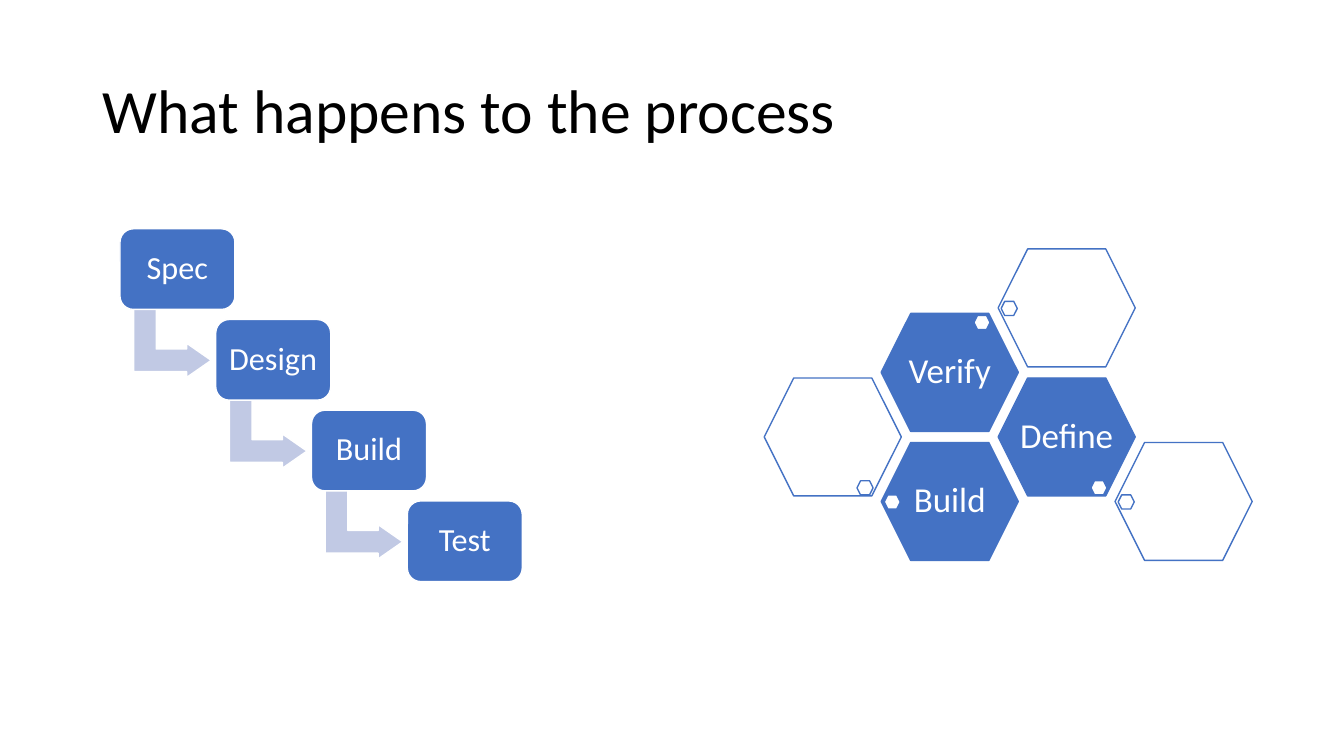
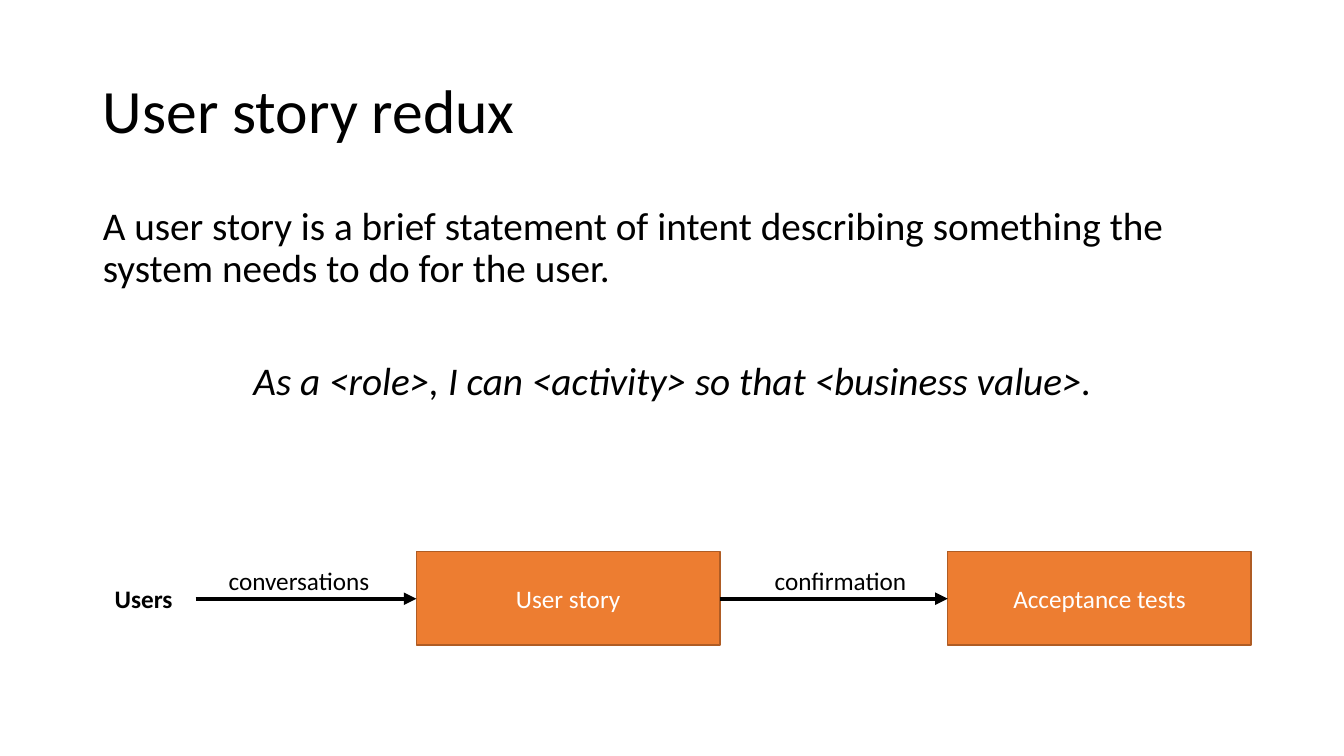
from pptx import Presentation
from pptx.dml.color import RGBColor
from pptx.enum.shapes import MSO_CONNECTOR, MSO_SHAPE
from pptx.enum.text import MSO_ANCHOR, MSO_AUTO_SIZE, PP_ALIGN
from pptx.oxml.ns import qn
from pptx.util import Inches, Pt
from lxml.etree import SubElement

# Shared style
FONT = "Calibri"
BLACK = RGBColor(0x00, 0x00, 0x00)
WHITE = RGBColor(0xFF, 0xFF, 0xFF)
BLUE = RGBColor(0x44, 0x72, 0xC4)
PALE = RGBColor(0xC1, 0xC9, 0xE4)
ORANGE = RGBColor(0xED, 0x7D, 0x31)
BROWN = RGBColor(0xAF, 0x5C, 0x24)
LEFT, WIDE = 0.92, 11.5

# Waterfall: first box, box size and step
STEPS = ["Spec", "Design", "Build", "Test"]
# Honeycomb: column, half row, label, dot position
SIDE, LOW, TOP = (0.03, 0.52), (0.92, 1.02), (0.92, 0.02)
CELLS = [
    (1, 3, "Build", SIDE),
    (0, 2, "", LOW),
    (2, 2, "Define", LOW),
    (3, 3, "", SIDE),
    (1, 1, "Verify", TOP),
    (2, 0, "", SIDE),
]


def write(par, text, size, color=BLACK, align=PP_ALIGN.CENTER, space=1.0,
          bold=False, italic=False):
    par.alignment = align
    par.line_spacing = space
    run = par.add_run()
    run.text = text
    font = run.font
    font.name, font.size = FONT, Pt(size)
    font.bold, font.italic = bold, italic
    font.color.rgb = color


def place(item, left, top, width, height):
    item.left, item.top = Inches(left), Inches(top)
    item.width, item.height = Inches(width), Inches(height)


def add_slide(deck, layout, title):
    slide = deck.slides.add_slide(deck.slide_layouts[layout])
    head = slide.shapes.title
    place(head, LEFT, 0.4, WIDE, 1.45)
    frame = head.text_frame
    frame.auto_size = MSO_AUTO_SIZE.NONE
    frame.vertical_anchor = MSO_ANCHOR.MIDDLE
    write(frame.paragraphs[0], title, 44, align=PP_ALIGN.LEFT, space=0.9)
    return slide


def add_form(slide, kind, box, fill, edge, text="", size=18, space=0.9):
    form = slide.shapes.add_shape(kind, *map(Inches, box))
    form.shadow.inherit = False
    form.fill.solid()
    form.fill.fore_color.rgb = fill
    form.line.color.rgb = edge
    form.line.width = Pt(1)
    if text:
        frame = form.text_frame
        frame.word_wrap = False
        frame.vertical_anchor = MSO_ANCHOR.MIDDLE
        write(frame.paragraphs[0], text, size, WHITE, space=space)
    return form


def add_label(slide, text, left, top, width, bold=False):
    box = slide.shapes.add_textbox(*map(Inches, (left, top, width, 0.4)))
    box.text_frame.word_wrap = True
    write(box.text_frame.paragraphs[0], text, 18, bold=bold)


def add_arrow(slide, start, end, level):
    line = slide.shapes.add_connector(
        MSO_CONNECTOR.STRAIGHT, *map(Inches, (start, level, end, level)))
    line.line.color.rgb = BLACK
    line.line.width = Pt(3)
    props = line._element.spPr
    SubElement(props.find(qn("a:ln")), qn("a:tailEnd"), type="triangle")
    SubElement(props, qn("a:effectLst"))


def add_body(slide, items):
    body = slide.placeholders[1]
    place(body, LEFT, 2, WIDE, 3.08)
    frame = body.text_frame
    frame.auto_size = MSO_AUTO_SIZE.NONE
    for i, (text, align, gap, italic) in enumerate(items):
        par = frame.paragraphs[0] if i == 0 else frame.add_paragraph()
        write(par, text, 28, align=align, space=0.9, italic=italic)
        par.space_before = Pt(gap)
        props = par._p.get_or_add_pPr()
        props.set("marL", "0")
        props.set("indent", "0")
        SubElement(props, qn("a:buNone"))


def add_falls(slide):
    for i, name in enumerate(STEPS):
        left, top = 1.19 + 0.95 * i, 2.27 + 0.9 * i
        if i < len(STEPS) - 1:
            bend = add_form(slide, MSO_SHAPE.BENT_UP_ARROW,
                            (left + 0.18, top + 0.75, 0.68, 0.77), PALE, WHITE)
            bend.rotation = 90
            for k, value in enumerate((0.33, 0.25, 0.36)):
                bend.adjustments[k] = value
        add_form(slide, MSO_SHAPE.ROUNDED_RECTANGLE, (left, top, 1.14, 0.8),
                 BLUE, WHITE, name, 23)


def add_comb(slide):
    for col, row, name, (right, down) in CELLS:
        left, top = 7.58 + 1.16 * col, 2.47 + 0.64 * row
        add_form(slide, MSO_SHAPE.HEXAGON, (left, top, 1.36, 1.17),
                 BLUE if name else WHITE, BLUE, name, 25)
        add_form(slide, MSO_SHAPE.HEXAGON,
                 (left + right, top + down, 0.16, 0.14), WHITE, BLUE)


def add_flow(slide):
    for left, name in ((4.13, "User story"), (9.4, "Acceptance tests")):
        add_form(slide, MSO_SHAPE.RECTANGLE, (left, 5.47, 3.01, 0.93),
                 ORANGE, BROWN, name, space=1.0)
    add_arrow(slide, 1.94, 4.13, 5.94)
    add_arrow(slide, 7.14, 9.4, 5.94)
    add_label(slide, "conversations", 1.96, 5.56, 2.01)
    add_label(slide, "confirmation", 7.33, 5.56, 2.01)
    add_label(slide, "Users", 0.91, 5.74, 1.03, bold=True)


def main():
    deck = Presentation()
    deck.slide_width, deck.slide_height = Inches(13.33), Inches(7.5)

    # Process slide
    slide = add_slide(deck, 5, "What happens to the process")
    add_falls(slide)
    add_comb(slide)

    # User story slide
    slide = add_slide(deck, 1, "User story redux")
    add_body(slide, [
        ("A user story is a brief statement of intent describing something "
         "the system needs to do for the user.", PP_ALIGN.LEFT, 10, False),
        ("As a <role>, I can <activity> so that <business value>.",
         PP_ALIGN.CENTER, 50, True),
    ])
    add_flow(slide)
    deck.save("out.pptx")


main()
